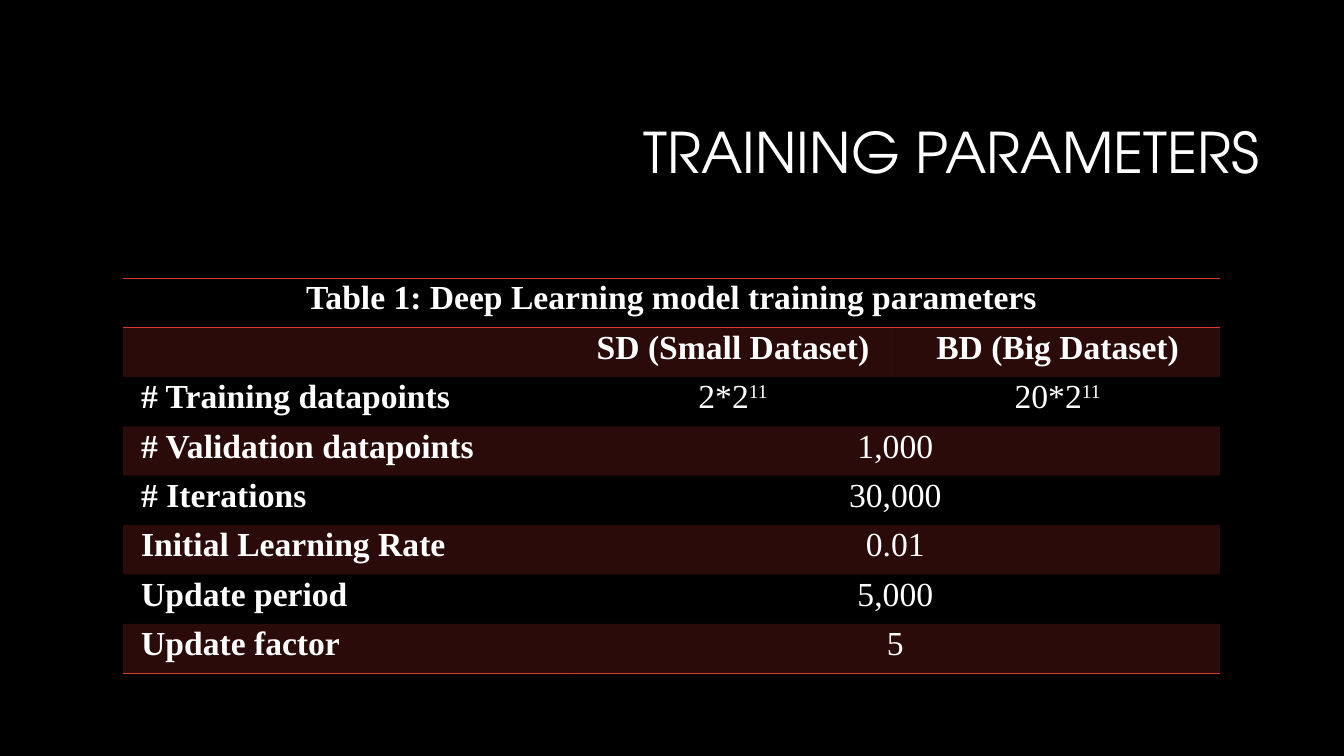
"""Build the training parameters slide: a title and a banded table."""
from lxml.etree import SubElement
from pptx import Presentation
from pptx.dml.color import RGBColor
from pptx.enum.text import MSO_ANCHOR, PP_ALIGN
from pptx.oxml import parse_xml
from pptx.oxml.ns import nsdecls, qn
from pptx.util import Inches, Pt

WHITE, BLACK, RED = "FFFFFF", "000000", "D63731"
NO_STYLE = "{2D5ABB26-0587-4C30-8999-92F81FD0307C}"
ROWS = [
    ["Table 1: Deep Learning model training parameters"],
    ["", "SD (Small Dataset)", "BD (Big Dataset)"],
    ["# Training datapoints", "2*2^11", "20*2^11"],
    ["# Validation datapoints", "1,000"],
    ["# Iterations", "30,000"],
    ["Initial Learning Rate", "0.01"],
    ["Update period", "5,000"],
    ["Update factor", "5"],
]
WIDTHS = [4.44, 3.22, 3.22]
ROW_HEIGHT = 0.49
BORDERS = {0: ["lnT", "lnB"], len(ROWS) - 1: ["lnB"]}


def color(value):
    return RGBColor.from_string(value)


def add_span(para, text, **formats):
    span = para.add_run()
    span.text = text
    span.font.color.rgb = color(WHITE)
    for name, value in formats.items():
        setattr(span.font, name, value)
    return span


deck = Presentation()
deck.slide_width, deck.slide_height = Inches(13.33), Inches(7.5)
page = deck.slides.add_slide(deck.slide_layouts[5])
page.background.fill.solid()
page.background.fill.fore_color.rgb = color(BLACK)

title = page.shapes.title
title.left, title.top = Inches(3.17), Inches(0.84)
title.width, title.height = Inches(9.42), Inches(1.41)
title.text_frame.vertical_anchor = MSO_ANCHOR.MIDDLE
title.text_frame.word_wrap = True
para = title.text_frame.paragraphs[0]
para.alignment, para.line_spacing = PP_ALIGN.RIGHT, 0.9
add_span(para, "TRAINING PARAMETERS", size=Pt(40), name="TeX Gyre Adventor")

frame = page.shapes.add_table(
    len(ROWS), len(WIDTHS), Inches(1.22), Inches(2.76),
    Inches(sum(WIDTHS)), Inches(ROW_HEIGHT * len(ROWS)))
table = frame.table
table.first_row = table.horz_banding = False
table._tbl.tblPr.find(qn("a:tableStyleId")).text = NO_STYLE
for column, width in zip(table.columns, WIDTHS):
    column.width = Inches(width)

for row, texts in enumerate(ROWS):
    table.rows[row].height = Inches(ROW_HEIGHT)
    last = len(texts) - 1
    if last < len(WIDTHS) - 1:
        table.cell(row, last).merge(table.cell(row, len(WIDTHS) - 1))

    for col in range(len(WIDTHS)):
        cell = table.cell(row, col)
        cell.margin_left = cell.margin_right = Inches(0.18)
        cell.margin_top = cell.margin_bottom = 0
        if row % 2:
            cell.fill.solid()
            cell.fill.fore_color.rgb = color(RED)
            tint = cell._tc.tcPr.find(".//" + qn("a:srgbClr"))
            SubElement(tint, qn("a:alpha")).set("val", "20000")
        else:
            cell.fill.background()
        for place, side in enumerate(BORDERS.get(row, [])):
            cell._tc.tcPr.insert(place, parse_xml(
                f'<a:{side} {nsdecls("a")} w="12700"><a:solidFill>'
                f'<a:srgbClr val="{RED}"/></a:solidFill></a:{side}>'))

    for col, text in enumerate(texts):
        para = table.cell(row, col).text_frame.paragraphs[0]
        is_label = row > 1 and col == 0
        para.alignment = PP_ALIGN.JUSTIFY if is_label else PP_ALIGN.CENTER
        para.line_spacing = 1.05
        style = {"size": Pt(24), "name": "Times New Roman",
                 "bold": row < 2 or col == 0}
        base, _, power = text.partition("^")
        if base:
            add_span(para, base, **style)
        if power:
            span = add_span(para, power, **style)
            span._r.get_or_add_rPr().set("baseline", "30000")

deck.save("out.pptx")
